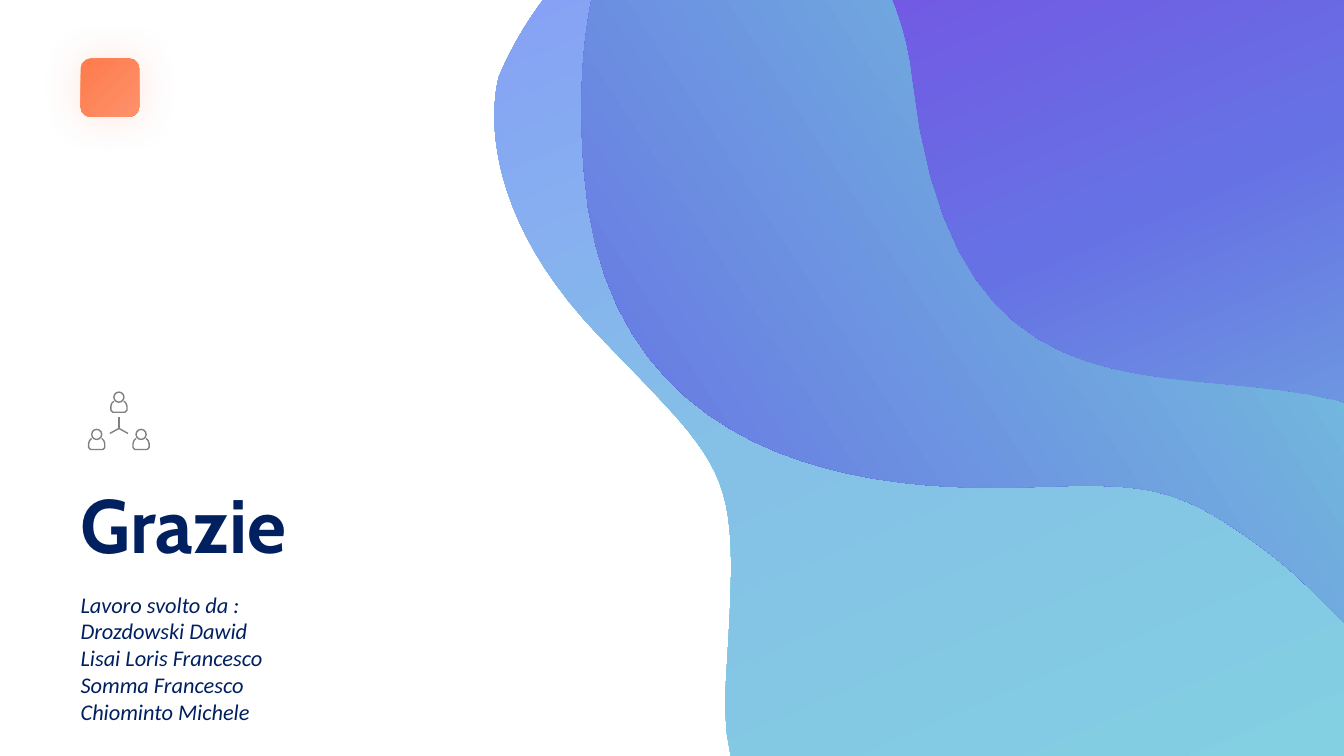
from math import cos, sin, radians
from lxml.etree import SubElement
from pptx import Presentation
from pptx.dml.color import RGBColor
from pptx.enum.shapes import MSO_CONNECTOR, MSO_SHAPE
from pptx.enum.text import MSO_ANCHOR, MSO_AUTO_SIZE, PP_ALIGN
from pptx.oxml.ns import qn
from pptx.util import Emu, Pt

PX = 9144
NAVY = "002060"
GRAY = "808080"
color = RGBColor.from_string


def shade(shape, stops, angle):
    shape.shadow.inherit = False
    shape.line.fill.background()
    shape.fill.gradient()
    shape.fill.gradient_angle = 360 - angle
    track = shape._element.spPr.find(qn("a:gradFill")).find(qn("a:gsLst"))
    for stop in list(track):
        track.remove(stop)
    for place, tone in stops:
        stop = SubElement(track, qn("a:gs"), pos=str(place * 1000))
        SubElement(stop, qn("a:srgbClr"), val=tone)


def write(shape, box, lines, face, size, bold, slant):
    shape.left, shape.top, shape.width, shape.height = [Emu(n * PX) for n in box]
    frame = shape.text_frame
    frame.margin_left = frame.margin_top = frame.margin_right = frame.margin_bottom = 0
    frame.word_wrap = True
    frame.auto_size = MSO_AUTO_SIZE.SHAPE_TO_FIT_TEXT
    frame.vertical_anchor = MSO_ANCHOR.TOP
    for i, line in enumerate(lines):
        para = frame.add_paragraph() if i else frame.paragraphs[0]
        para.alignment = PP_ALIGN.LEFT
        run = para.add_run()
        run.text = line
        run.font.name = face
        run.font.size = Pt(size)
        run.font.bold = bold
        run.font.italic = slant
        run.font.color.rgb = color(NAVY)


deck = Presentation()
deck.slide_width = Emu(12192000)
deck.slide_height = Emu(750 * PX)
slide = deck.slides.add_slide(deck.slide_layouts[5])
shapes = slide.shapes

badge = shapes.add_shape(MSO_SHAPE.ROUNDED_RECTANGLE, 80 * PX, 58 * PX, 58 * PX, 58 * PX)
shade(badge, [(0, "FE7B4C"), (100, "FE916A")], 45)
glow = SubElement(badge._element.spPr.find(qn("a:effectLst")), qn("a:outerShdw"),
                  blurRad=str(40 * PX), dist="0", algn="ctr", rotWithShape="0")
tint = SubElement(glow, qn("a:srgbClr"), val="FE7B4C")
SubElement(tint, qn("a:alpha"), val="20000")

torso = [(123, 398), (125, 400), (126, 403), (126, 407), (124, 409),
         (112, 409), (110, 407), (110, 403), (111, 400), (113, 398)]
for dx, dy in [(0, 0), (-22, 37), (22, 37)]:
    head = shapes.add_shape(MSO_SHAPE.OVAL, (113 + dx) * PX, (389 + dy) * PX, 10 * PX, 10 * PX)
    spots = [((x + dx) * PX, (y + dy) * PX) for x, y in torso]
    pen = shapes.build_freeform(*spots[0])
    pen.add_line_segments(spots[1:], close=False)
    for part in (head, pen.convert_to_shape()):
        part.shadow.inherit = False
        part.fill.background()
        part.line.color.rgb = color(GRAY)
        part.line.width = Pt(1)

for x, y in [(118, 414), (109, 430), (127, 430)]:
    rod = shapes.add_connector(MSO_CONNECTOR.STRAIGHT, 118 * PX, 425 * PX, x * PX, y * PX)
    rod.line.color.rgb = color(GRAY)
    rod.line.width = Pt(1)
    SubElement(rod._element.spPr, qn("a:effectLst"))

write(shapes.title, (80, 474, 530, 91), ["Grazie"], "Cabin", 54, True, False)
names = ["Lavoro svolto da :", "Drozdowski Dawid", "Lisai Loris Francesco",
         "Somma Francesco", "Chiominto Michele"]
write(shapes.add_textbox(0, 0, 0, 0), (80, 586, 387, 135), names, "Calibri", 16, False, True)

waves = [
    ([(0, "80DEDE"), (54, "85C1E7"), (100, "878CFF")], 90, (920, 106), [
        (971, 556, 1290, 315, 1467, 496), (1645, 676, 1581, 811, 1528, 840),
        (1475, 869, 1429, 866, 1375, 787), (1320, 707, 1153, 796, 1038, 856),
        (924, 916, 706, 893, 720, 679), (733, 464, 732, 476, 595, 334),
        (458, 192, 495, 76, 495, 76), (495, 76, 568, -115, 737, -98),
        (907, -81, 920, 106, 920, 106)]),
    ([(0, "7CEFD8"), (51, "6672E4"), (100, "882BE5")], 90, (732, -186), [
        (732, -186, 556, -159, 579, 167), (601, 492, 918, 487, 1031, 483),
        (1144, 479, 1172, 483, 1262, 551), (1352, 620, 1413, 755, 1528, 626),
        (1643, 496, 1426, 358, 1396, 301), (1366, 244, 1422, 99, 1371, 43),
        (1321, -12, 1286, -80, 1049, -60), (1049, -60, 933, -22, 844, -146),
        (844, -146, 788, -214, 732, -186)]),
    ([(0, "882BE5"), (19, "6672E4"), (100, "7CEFD8")], 170, (579, 167), [
        (568, 19, 599, -67, 635, -118), (661, -127, 689, -130, 721, -128),
        (890, -111, 904, 76, 904, 76), (955, 526, 1274, 285, 1451, 466),
        (1499, 514, 1529, 560, 1547, 600), (1542, 609, 1536, 617, 1529, 625),
        (1413, 755, 1352, 620, 1262, 551), (1172, 483, 1144, 479, 1031, 483),
        (918, 487, 601, 492, 579, 167)]),
]
TURN = 157
STEPS = 24
c, s = cos(radians(TURN)), sin(radians(TURN))
for stops, angle, start, curves in waves:
    trace = [start]
    for ax, ay, bx, by, ex, ey in curves:
        ox, oy = trace[-1]
        for step in range(1, STEPS + 1):
            t = step / STEPS
            u = 1 - t
            k = (u ** 3, 3 * u * u * t, 3 * u * t * t, t ** 3)
            trace.append((k[0] * ox + k[1] * ax + k[2] * bx + k[3] * ex,
                          k[0] * oy + k[1] * ay + k[2] * by + k[3] * ey))
    spots = [(round((x * c + y * s) * PX), round((y * c - x * s) * PX)) for x, y in trace]
    pen = shapes.build_freeform(*spots[0])
    pen.add_line_segments(spots[1:], close=True)
    wave = pen.convert_to_shape()
    mx, my = wave.left + wave.width / 2, wave.top + wave.height / 2
    wave.left = Emu(round(mx * c - my * s - wave.width / 2))
    wave.top = Emu(round(mx * s + my * c - wave.height / 2))
    wave.rotation = TURN
    shade(wave, stops, angle)

deck.save("out.pptx")
